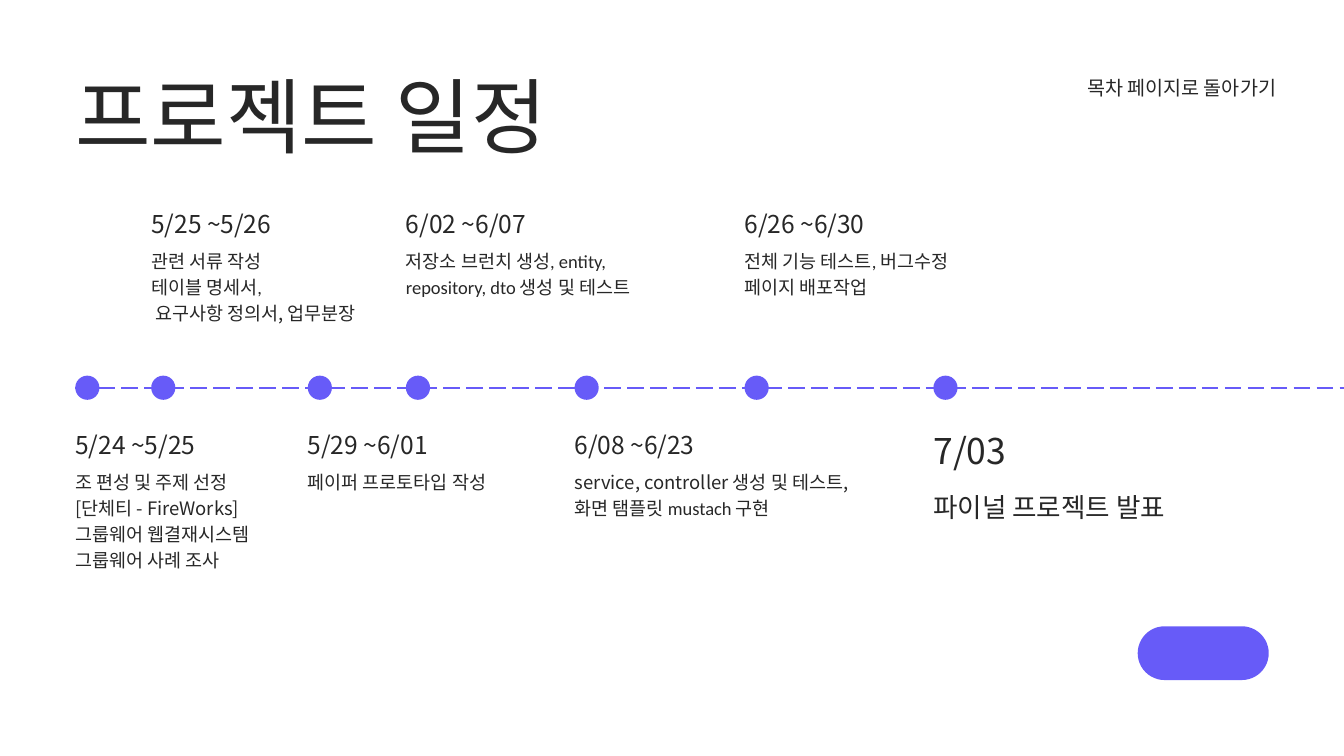
from dataclasses import dataclass

from lxml import etree
from pptx import Presentation
from pptx.dml.color import RGBColor
from pptx.enum import dml, shapes, text
from pptx.oxml import ns
from pptx.slide import Slide
from pptx.util import Inches, Pt

VIOLET = RGBColor(0x67, 0x5B, 0xF8)
INK = RGBColor(0x27, 0x27, 0x27)
LATIN = "Calibri"
KOREAN = "Noto Sans CJK KR"

LINE_Y = 5.77
DOT = 0.36
ABOVE, BELOW = 3.11, 6.4
DETAIL_DROP = 0.56


@dataclass(frozen=True)
class Span:
    text: str
    font: str = LATIN


Para = tuple[Span, ...]


@dataclass(frozen=True)
class Style:
    size: float
    leading: float
    align: text.PP_ALIGN = text.PP_ALIGN.LEFT


@dataclass(frozen=True)
class Step:
    left: float
    top: float
    width: float
    height: float
    dates: str
    details: tuple[Span, ...]


TITLE = Style(88, 105.6)
BACK = Style(21, 29.4, text.PP_ALIGN.RIGHT)
DATE = Style(26.3, 31.6)
DETAIL = Style(19.8, 27.7)
FINAL_DATE = Style(38, 45.6)
FINAL_DETAIL = Style(28.5, 39.9)

STEPS = (
    Step(1.12, BELOW, 3.03, 1.5, "5/24 ~5/25", (
        Span("조 편성 및 주제 선정"),
        Span("[단체티 - FireWorks]", KOREAN),
        Span("그룹웨어 웹결재시스템"),
        Span("그룹웨어 사례 조사"),
    )),
    Step(2.25, ABOVE, 3.13, 1.5, "5/25 ~5/26", (
        Span("관련 서류 작성"),
        Span("테이블 명세서,"),
        Span(" 요구사항 정의서, 업무분장", KOREAN),
    )),
    Step(4.58, BELOW, 3.03, 0.75, "5/29 ~6/01", (
        Span("페이퍼 프로토타입 작성"),
    )),
    Step(6.04, ABOVE, 3.55, 0.75, "6/02 ~6/07", (
        Span("저장소 브런치 생성, entity, repository, dto 생성 및 테스트"),
    )),
    Step(8.55, BELOW, 4.16, 1.12, "6/08 ~6/23", (
        Span("service, controller 생성 및 테스트,", KOREAN),
        Span("화면 탬플릿 mustach 구현"),
    )),
    Step(11.08, ABOVE, 3.55, 1.12, "6/26 ~6/30", (
        Span("전체 기능 테스트, 버그수정"),
        Span("페이지 배포작업"),
    )),
)
FINAL_LEFT = 13.89


def add_text(page: Slide, left: float, top: float, width: float, height: float,
             paras: list[Para], style: Style) -> None:
    box = page.shapes.add_textbox(
        Inches(left), Inches(top), Inches(width), Inches(height))
    frame = box.text_frame
    frame_format = {
        "word_wrap": True,
        "auto_size": text.MSO_AUTO_SIZE.SHAPE_TO_FIT_TEXT,
        "margin_left": 0, "margin_right": 0,
        "margin_top": 0, "margin_bottom": 0,
    }
    for name, value in frame_format.items():
        setattr(frame, name, value)
    for index, spans in enumerate(paras):
        para = frame.add_paragraph() if index else frame.paragraphs[0]
        para.alignment = style.align
        para.line_spacing = Pt(style.leading)
        for span in spans:
            run = para.add_run()
            run.text = span.text
            run.font.color.rgb = INK
            for name, value in {"size": Pt(style.size), "name": span.font}.items():
                setattr(run.font, name, value)
            east_asian = etree.SubElement(run.font._element, ns.qn("a:ea"))
            east_asian.set("typeface", KOREAN)


def add_filled(page: Slide, kind: shapes.MSO_SHAPE, left: float, top: float,
               width: float, height: float):
    shape = page.shapes.add_shape(
        kind, Inches(left), Inches(top), Inches(width), Inches(height))
    shape.shadow.inherit = False
    shape.fill.solid()
    shape.fill.fore_color.rgb = VIOLET
    shape.line.fill.background()
    return shape


def add_dot(page: Slide, left: float) -> None:
    add_filled(page, shapes.MSO_SHAPE.OVAL, left, LINE_Y - DOT / 2, DOT, DOT)


def add_time_line(page: Slide) -> None:
    """Dashed axis that runs off the right edge."""
    line = page.shapes.add_connector(
        shapes.MSO_CONNECTOR.STRAIGHT,
        Inches(1.12), Inches(LINE_Y), Inches(21.46), Inches(LINE_Y))
    line.line.color.rgb = VIOLET
    line.line.width = Pt(2.25)
    line.line.dash_style = dml.MSO_LINE.LONG_DASH
    etree.SubElement(line._element.spPr, ns.qn("a:effectLst"))


def add_step(page: Slide, step: Step) -> None:
    add_dot(page, step.left)
    add_text(page, step.left, step.top, step.width, 0.44,
             [(Span(step.dates, KOREAN),)], DATE)
    add_text(page, step.left, step.top + DETAIL_DROP, step.width, step.height,
             [(detail,) for detail in step.details], DETAIL)


def main() -> None:
    deck = Presentation()
    deck.slide_width, deck.slide_height = Inches(20), Inches(11.25)
    page = deck.slides.add_slide(deck.slide_layouts[6])

    add_text(page, 1.12, 0.98, 11.59, 1.47, [(Span("프로젝트 일정"),)], TITLE)
    add_text(page, 15.56, 1.07, 3.43, 0.4,
             [(Span("목차"), Span(" 페이지로 돌아가기", KOREAN))], BACK)

    add_time_line(page)
    for step in STEPS:
        add_step(page, step)

    add_dot(page, FINAL_LEFT)
    add_text(page, FINAL_LEFT, 6.39, 4.37, 0.64,
             [(Span("7/03", KOREAN),)], FINAL_DATE)
    add_text(page, FINAL_LEFT, 7.23, 4.37, 0.51,
             [(Span("파이널 프로젝트 발표"),)], FINAL_DETAIL)

    button = add_filled(page, shapes.MSO_SHAPE.ROUNDED_RECTANGLE,
                        16.93, 9.32, 1.95, 0.8)
    button.adjustments[0] = 0.5

    deck.save("out.pptx")


if __name__ == "__main__":
    main()
